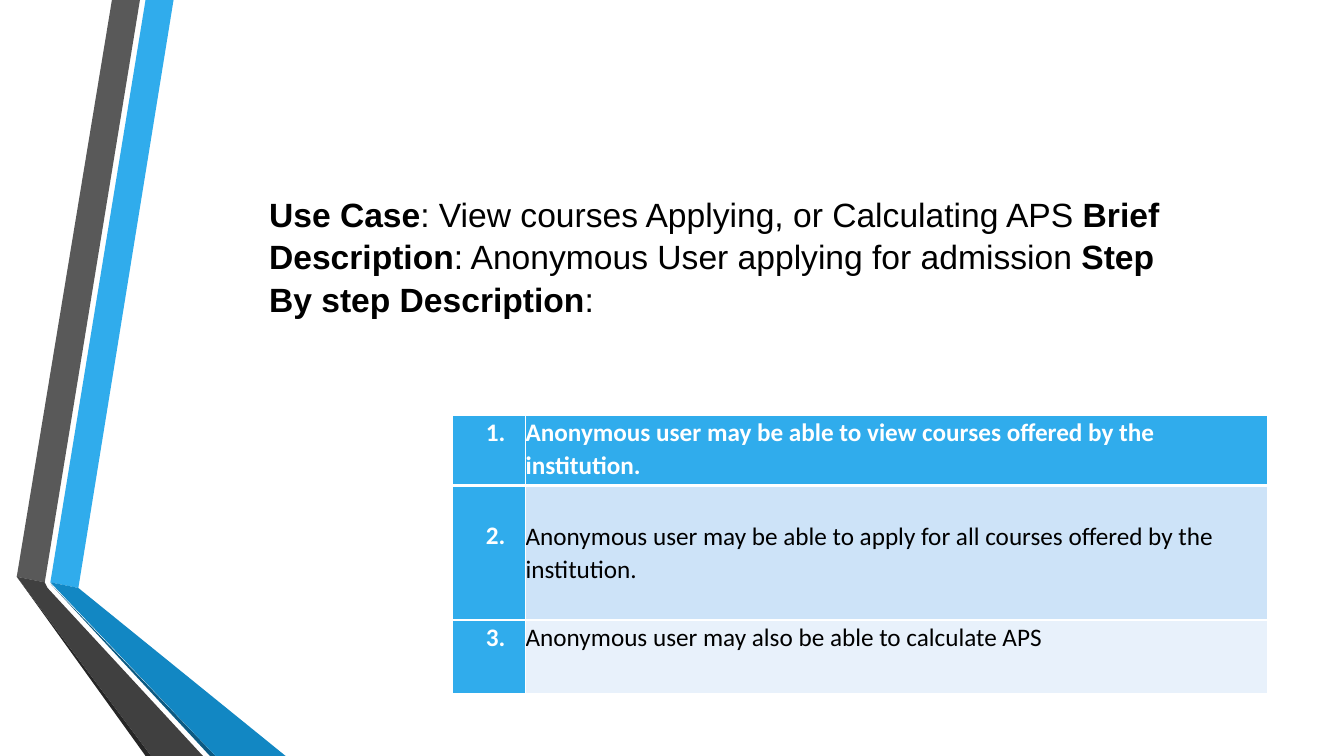
from lxml import etree
from pptx import Presentation
from pptx import util as u
from pptx.dml import color
from pptx.enum import text
from pptx.oxml import ns

WHITE, BLACK, BLUE = "FFFFFF", "000000", "30ACEC"

# Ribbon outlines in points, from back to front
RIBBONS = [
    (BLUE, [(36, 416), (55.5, 420), (124.5, 0), (104.5, 0)]),
    ("595959", [(100, 0), (80, 0), (11.75, 412.5), (31.75, 415.5)]),
    ("262626", [(11.75, 412.5), (104.5, 540), (108.5, 540)]),
    ("0C5A82", [(36, 417), (150, 540), (154, 540)]),
    ("1287C3", [(36, 416.5), (154, 540), (204, 540), (55.5, 420)]),
    ("404040", [(11.75, 412.5), (108.5, 540), (145.25, 540), (34.5, 420), (31.75, 415.5)]),
]

USE_CASE = [
    ("Use Case", True),
    (": View courses Applying, or Calculating APS ", False),
    ("Brief Description", True),
    (": Anonymous User applying for admission ", False),
    ("Step By step Description", True),
    (":", False),
]

STEPS = [
    "Anonymous user may be able to view courses offered by the institution.",
    "Anonymous user may be able to apply for all courses offered by the institution.",
    "Anonymous user may also be able to calculate APS",
]
STEP_FILLS = [BLUE, "CDE3F8", "E8F1FB"]
ROW_HEIGHTS = [49.7, 96.2, 52.4]
COLUMN_WIDTHS = [52, 530]


def rgb(value):
    return color.RGBColor.from_string(value)


class SlideBuilder:
    title_font, title_size = "Arial", 24
    table_font, table_size = "Calibri", 18

    def __init__(self, prs):
        self.s = prs.slides.add_slide(prs.slide_layouts[5])

    def style_run(self, r, font, size, fill, bold):
        r.font.name, r.font.size, r.font.bold = font, u.Pt(size), bold
        r.font.color.rgb = rgb(fill)

    def ribbon(self, fill, points):
        builder = self.s.shapes.build_freeform(*points[0], scale=u.Pt(1))
        builder.add_line_segments(points[1:], close=True)
        sp = builder.convert_to_shape()
        sp.shadow.inherit = False
        sp.fill.solid()
        sp.fill.fore_color.rgb = rgb(fill)
        sp.line.fill.background()

    def title(self, pieces, left, top, width, height):
        sp = self.s.shapes.title
        sp.left, sp.top, sp.width, sp.height = map(u.Pt, (left, top, width, height))
        tf = sp.text_frame
        tf.word_wrap = True
        tf.auto_size = text.MSO_AUTO_SIZE.NONE
        tf.vertical_anchor = text.MSO_ANCHOR.TOP
        p = tf.paragraphs[0]
        p.alignment = text.PP_ALIGN.LEFT
        p.line_spacing = 1.05
        for words, bold in pieces:
            r = p.add_run()
            r.text = words
            self.style_run(r, self.title_font, self.title_size, BLACK, bold)

    def table(self, left, top, widths, heights):
        frame = self.s.shapes.add_table(
            len(heights), len(widths), u.Pt(left), u.Pt(top),
            u.Pt(sum(widths)), u.Pt(sum(heights)))
        table = frame.table
        table.horz_banding = False
        for column, width in zip(table.columns, widths):
            column.width = u.Pt(width)
        for row, height in zip(table.rows, heights):
            row.height = u.Pt(height)
        return table

    def borders(self, cell, bottom):
        """Draw white borders, 1 pt wide except at the bottom."""
        tcPr = cell._tc.get_or_add_tcPr()
        for side, width in (("L", 1), ("R", 1), ("T", 1), ("B", bottom)):
            ln = etree.SubElement(tcPr, ns.qn(f"a:ln{side}"), w=str(u.Pt(width)))
            fill = etree.SubElement(ln, ns.qn("a:solidFill"))
            etree.SubElement(fill, ns.qn("a:srgbClr"), val=WHITE)

    def cell(self, cell, words, fill, font_color, bold, indent=0, drop=0,
             anchor=text.MSO_ANCHOR.TOP, bottom=1):
        self.borders(cell, bottom)
        cell.fill.solid()
        cell.fill.fore_color.rgb = rgb(fill)
        cell.margin_left, cell.margin_top = u.Pt(indent), u.Pt(drop)
        cell.margin_right, cell.margin_bottom = u.Pt(5.4), 0
        cell.vertical_anchor = anchor
        cell.text_frame.text = words
        p = cell.text_frame.paragraphs[0]
        p.line_spacing = 1.07
        self.style_run(p.runs[0], self.table_font, self.table_size, font_color, bold)


def main():
    prs = Presentation()
    prs.slide_width, prs.slide_height = u.Pt(960), u.Pt(540)
    slide = SlideBuilder(prs)
    for fill, points in RIBBONS:
        slide.ribbon(fill, points)
    slide.title(USE_CASE, 185, 133.5, 677, 181)

    table = slide.table(323.5, 297, COLUMN_WIDTHS, ROW_HEIGHTS)
    for i, (step, fill) in enumerate(zip(STEPS, STEP_FILLS)):
        header, middle = i == 0, i == 1
        bottom = 3 if header else 1
        slide.cell(table.cell(i, 0), f"{i + 1}.", BLUE, WHITE, True, indent=23.5,
                   drop=23.5 if middle else 0, bottom=bottom)
        slide.cell(table.cell(i, 1), step, fill, WHITE if header else BLACK, header,
                   anchor=text.MSO_ANCHOR.MIDDLE if middle else text.MSO_ANCHOR.TOP,
                   bottom=bottom)
    prs.save("out.pptx")


if __name__ == "__main__":
    main()
